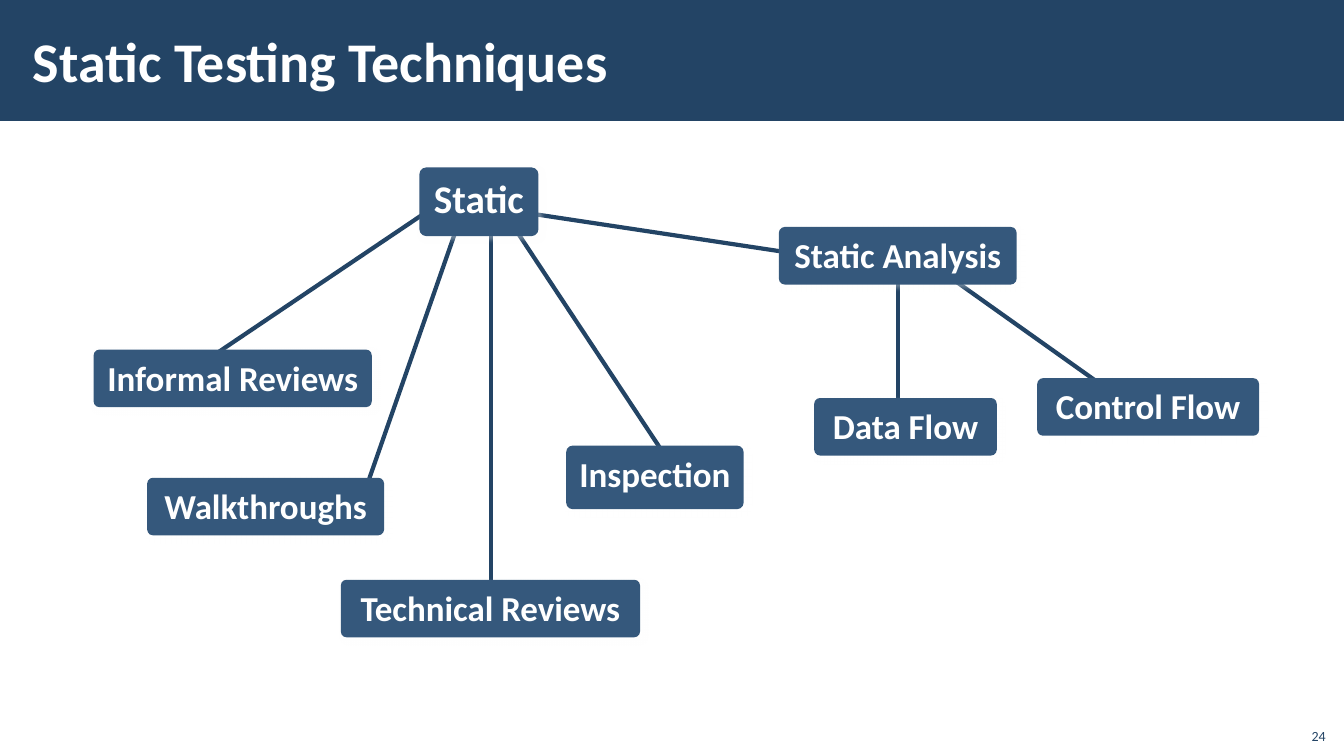
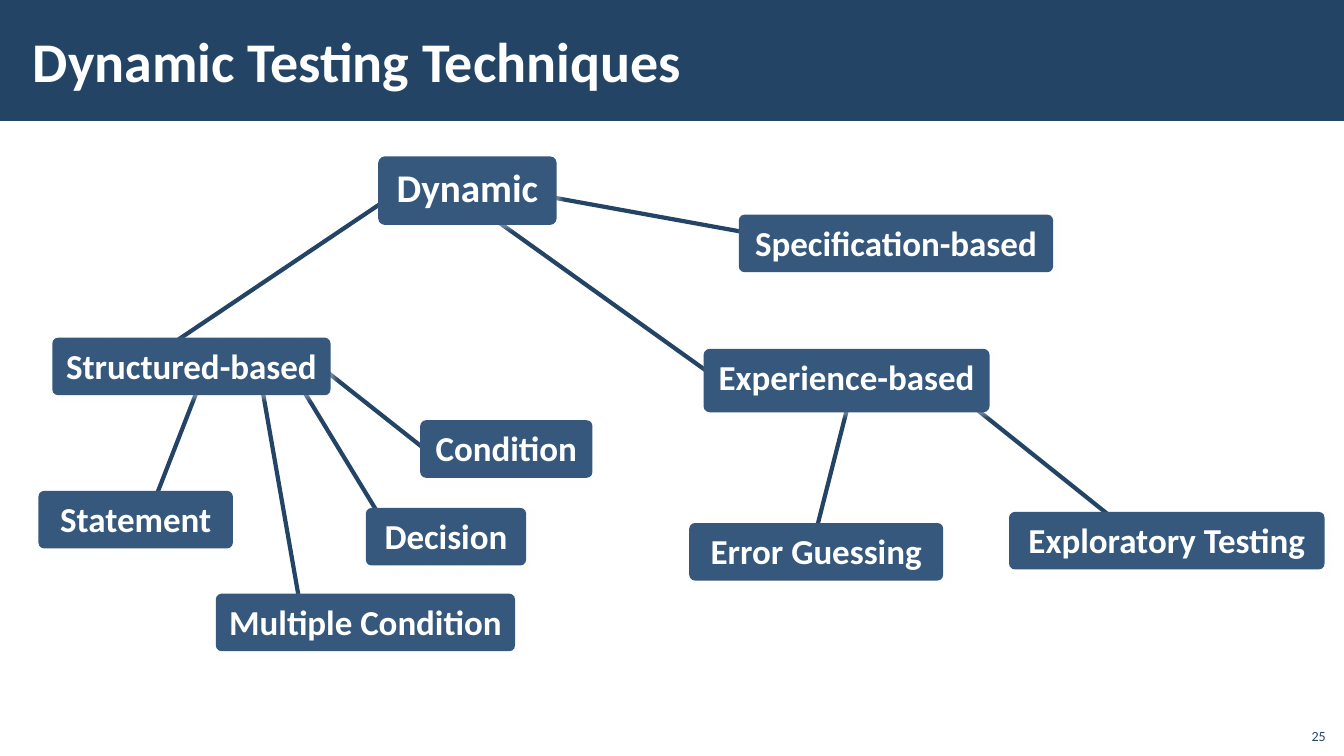
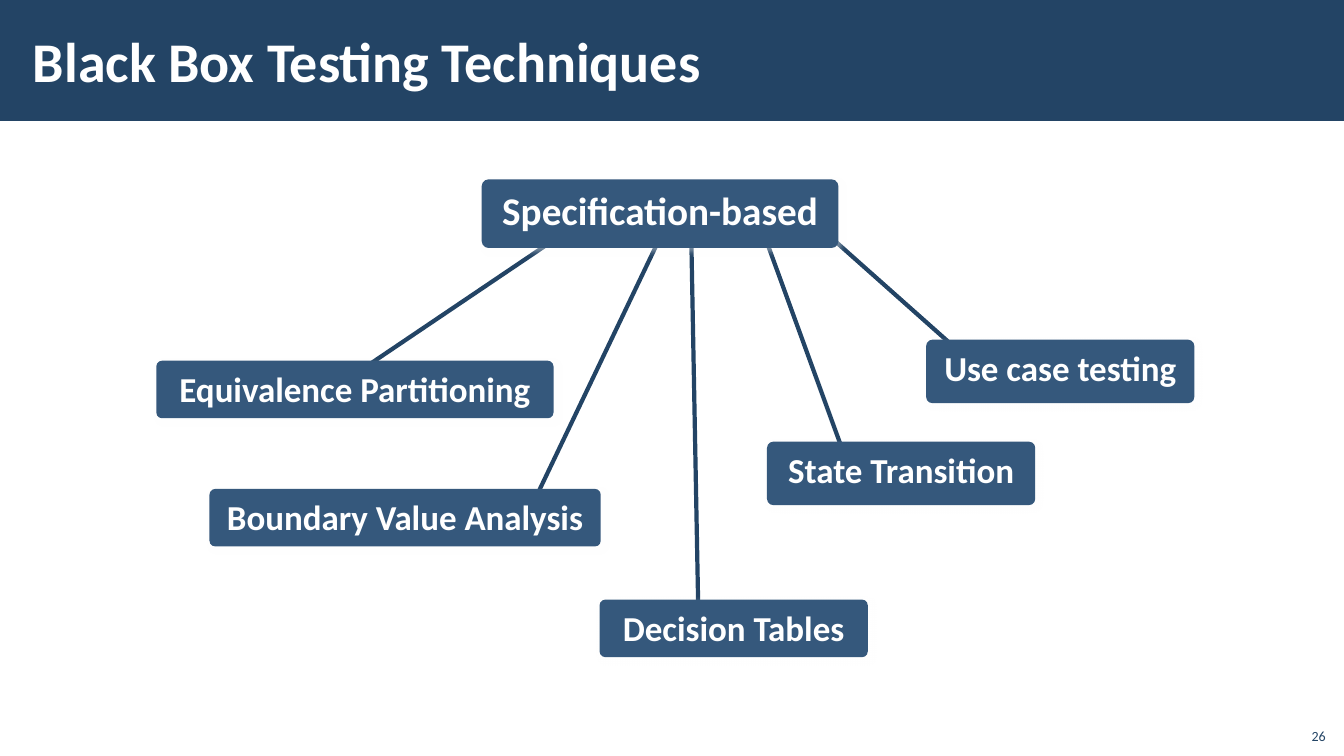
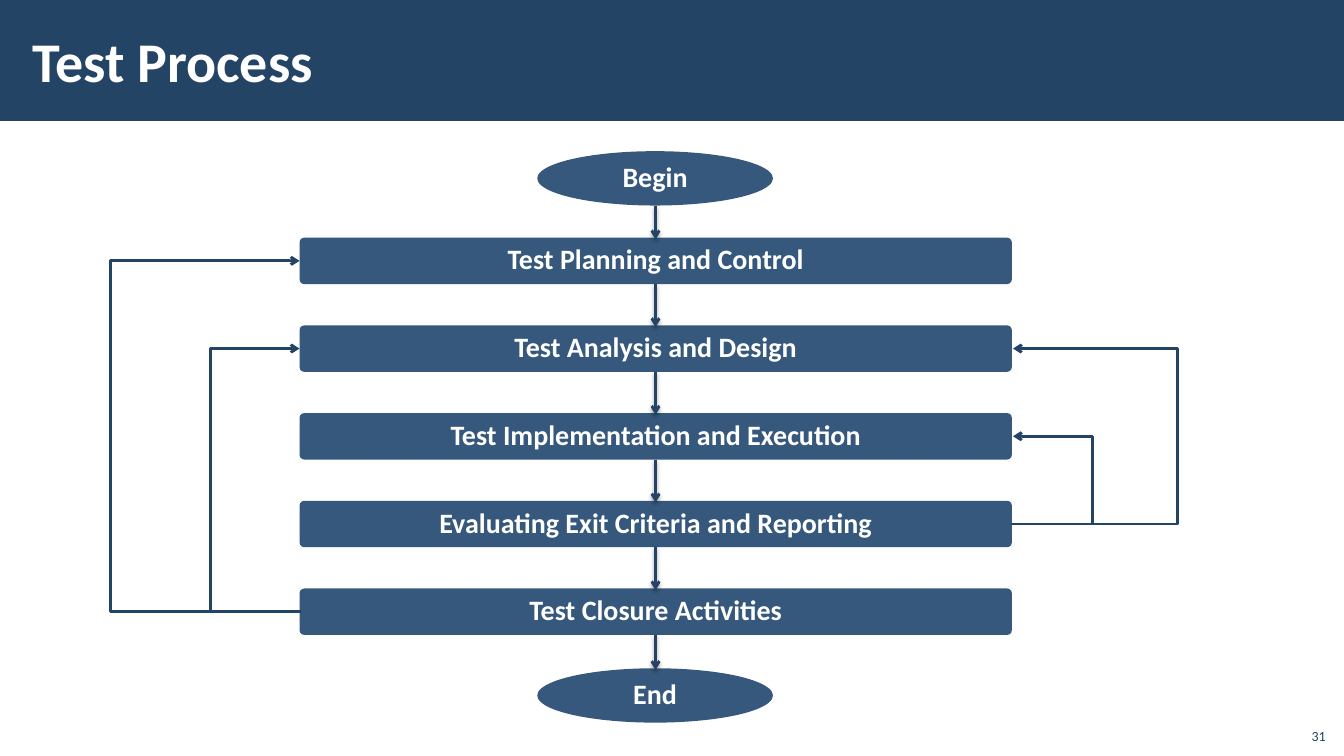
from dataclasses import dataclass
from itertools import pairwise
from typing import NamedTuple, Optional

from lxml.etree import SubElement
from pptx import Presentation
from pptx.dml.color import RGBColor
from pptx.enum.shapes import MSO_CONNECTOR as Connector, MSO_SHAPE as Shape
from pptx.enum.text import MSO_ANCHOR as Anchor, PP_ALIGN as Align
from pptx.oxml.ns import qn
from pptx.util import Cm, Pt


# Theme
class Shadow(NamedTuple):
    color: str
    alpha: int
    blur: float
    distance: float
    angle: int


@dataclass(frozen=True)
class Theme:
    font: str = "Calibri"
    navy: RGBColor = RGBColor(0x23, 0x44, 0x65)
    box: RGBColor = RGBColor(0x35, 0x58, 0x7C)
    white: RGBColor = RGBColor(0xFF, 0xFF, 0xFF)
    title_size: int = 40
    root_size: int = 28
    node_size: int = 25
    step_size: int = 20
    number_size: int = 10
    branch_width: int = 3
    flow_width: int = 2
    corner: float = 0.1
    box_shadow: Shadow = Shadow("FFFFFF", 40, 4, 3, 45)
    arrow_shadow: Shadow = Shadow("000000", 38, 3.1, 1.6, 90)


THEME = Theme()
TITLE_ONLY = 5


# Content types; all lengths in centimetres
class Point(NamedTuple):
    x: float
    y: float


class Branch(NamedTuple):
    child: Point
    parent: Point


ROOT_HEIGHT, NODE_HEIGHT, TALL_HEIGHT = 1.73, 1.45, 1.6


@dataclass(frozen=True)
class Node:
    text: str
    left: float
    top: float
    width: float
    branch: Optional[Branch] = None
    height: float = NODE_HEIGHT


@dataclass(frozen=True)
class Tree:
    title: str
    number: int
    root: Node
    nodes: tuple[Node, ...]


class Step(NamedTuple):
    text: str
    kind: Shape
    left: float
    top: float
    width: float
    height: float

    @property
    def middle(self) -> float:
        return self.top + self.height / 2


class Loop(NamedTuple):
    source: int
    target: int
    start_x: float
    end_x: float
    bend_x: float


def branch(child_x: float, child_y: float, parent_x: float, parent_y: float) -> Branch:
    return Branch(Point(child_x, child_y), Point(parent_x, parent_y))


# Content
TREES = (
    Tree("Static Testing Techniques", 24,
         Node("Static", 10.57, 4.22, 3, height=ROOT_HEIGHT), (
             Node("Informal Reviews", 2.36, 8.81, 7.01, branch(5.36, 8.97, 11.18, 5.05)),
             Node("Static Analysis", 19.63, 5.72, 5.99, branch(21.77, 6.65, 12.37, 5.23)),
             Node("Data Flow", 20.52, 10.03, 4.6, branch(22.63, 10.44, 22.63, 6.76)),
             Node("Walkthroughs", 3.71, 12.04, 5.97, branch(9.17, 12.45, 11.61, 5.46)),
             Node("Technical Reviews", 8.59, 14.61, 7.54, branch(12.37, 15.04, 12.37, 5.46)),
             Node("Inspection", 14.27, 11.23, 4.47, branch(16.76, 11.48, 12.95, 5.72), TALL_HEIGHT),
             Node("Control Flow", 26.14, 9.53, 5.59, branch(28.52, 10.24, 23.44, 6.63)),
         )),
    Tree("Dynamic Testing Techniques", 25,
         Node("Dynamic", 9.53, 3.94, 4.5, height=ROOT_HEIGHT), (
             Node("Structured-based", 1.32, 8.51, 7.01, branch(4.34, 8.66, 10.16, 4.75)),
             Node("Specification-based", 18.62, 5.41, 7.92, branch(20.52, 6.17, 12.52, 4.72)),
             Node("Statement", 0.97, 12.37, 4.9, branch(3.76, 12.95, 5.16, 9.35)),
             Node("Error Guessing", 17.37, 13.18, 6.4, branch(20.35, 14.22, 21.41, 10.06)),
             Node("Experience-based", 17.73, 8.79, 7.21, branch(18.62, 9.93, 12.12, 5.28), TALL_HEIGHT),
             Node("Decision", 9.22, 12.8, 4.04, branch(9.88, 13.51, 7.39, 9.42)),
             Node("Condition", 10.59, 10.59, 4.34, branch(10.95, 11.51, 7.82, 9.04)),
             Node("Multiple Condition", 5.44, 14.96, 7.54, branch(7.62, 15.57, 6.58, 9.63)),
             Node("Exploratory Testing", 25.43, 12.9, 7.95, branch(28.96, 13.79, 23.88, 9.73)),
         )),
    Tree("Black Box Testing Techniques", 26,
         Node("Specification-based", 12.14, 4.52, 8.99, height=ROOT_HEIGHT), (
             Node("Equivalence Partitioning", 3.94, 9.09, 10.01, branch(8.69, 9.6, 14.53, 5.66)),
             Node("Boundary Value Analysis", 5.28, 12.32, 9.86, branch(13.41, 12.73, 16.69, 5.87)),
             Node("Decision Tables", 15.11, 15.11, 6.76, branch(17.6, 15.54, 17.42, 5.94)),
             Node("State Transition", 19.33, 11.13, 6.76, branch(21.44, 11.91, 19.23, 5.84), TALL_HEIGHT),
             Node("Use case testing", 23.34, 8.56, 6.76, branch(24.84, 9.45, 20.52, 5.61), TALL_HEIGHT),
         )),
)

ACTIVITIES = (
    "Test Planning and Control",
    "Test Analysis and Design",
    "Test Implementation and Execution",
    "Evaluating Exit Criteria and Reporting",
    "Test Closure Activities",
)
ACTIVITY_TOP, ACTIVITY_PITCH = 5.99, 2.21
FLOW_X = 16.52

# Source and target count through ACTIVITIES
LOOPS = (
    Loop(4, 0, 7.6, 7.55, 2.79),
    Loop(4, 1, 7.6, 7.55, 5.3),
    Loop(3, 1, 25.48, 25.53, 29.67),
    Loop(3, 2, 25.48, 25.53, 27.54),
)


# Shared drawing
def add_shadow(shape, shadow: Shadow) -> None:
    properties = shape.element.spPr
    effects = properties.find(qn("a:effectLst"))
    if effects is None:
        effects = SubElement(properties, qn("a:effectLst"))
    outer = SubElement(effects, qn("a:outerShdw"), blurRad=str(Pt(shadow.blur)),
                       dist=str(Pt(shadow.distance)), dir=str(shadow.angle * 60000),
                       algn="ctr", rotWithShape="0")
    color = SubElement(outer, qn("a:srgbClr"), val=shadow.color)
    SubElement(color, qn("a:alpha"), val=str(shadow.alpha * 1000))


def write(frame, text: str, size: int, color: RGBColor, align: Align,
          anchor: Anchor, bold: bool = True) -> None:
    frame.text = text
    frame.vertical_anchor = anchor
    paragraph = frame.paragraphs[0]
    paragraph.alignment = align
    font = paragraph.runs[0].font
    font.name, font.size, font.bold = THEME.font, Pt(size), bold
    font.color.rgb = color


def add_filled(slide, kind: Shape, left: float, top: float, width: float, height: float,
               color: RGBColor):
    shape = slide.shapes.add_shape(kind, Cm(left), Cm(top), Cm(width), Cm(height))
    shape.fill.solid()
    shape.fill.fore_color.rgb = color
    shape.line.fill.background()
    shape.shadow.inherit = False
    return shape


def add_box(slide, kind: Shape, left: float, top: float, width: float, height: float):
    box = add_filled(slide, kind, left, top, width, height, THEME.box)
    if kind == Shape.ROUNDED_RECTANGLE:
        box.adjustments[0] = THEME.corner
    add_shadow(box, THEME.box_shadow)
    return box


def add_line(slide, start: Point, end: Point, width: int,
             kind: Connector = Connector.STRAIGHT, arrow: bool = False):
    line = slide.shapes.add_connector(kind, Cm(start.x), Cm(start.y), Cm(end.x), Cm(end.y))
    line.line.color.rgb = THEME.navy
    line.line.width = Pt(width)
    properties = line.element.spPr
    if arrow:
        SubElement(properties.find(qn("a:ln")), qn("a:tailEnd"), type="arrow")
    SubElement(properties, qn("a:effectLst"))
    return line


def move_band_to_layout(slide, layout) -> None:
    """Make the title band on a slide and hand it to the layout, behind its placeholders."""
    band = add_filled(slide, Shape.RECTANGLE, 0, 0, 33.87, 3.05, THEME.navy)
    layout.shapes.element.insert(2, band.element)


def add_titled_slide(deck, layout, title: str, number: int):
    slide = deck.slides.add_slide(layout)
    heading = slide.shapes.title
    heading.left, heading.top = Cm(0.53), Cm(0.28)
    heading.width, heading.height = Cm(27), Cm(2.46)
    frame = heading.text_frame
    frame.margin_left = frame.margin_right = Cm(0.3)
    frame.margin_top = frame.margin_bottom = Cm(0.1)
    write(frame, title, THEME.title_size, THEME.white, Align.LEFT, Anchor.MIDDLE)

    page = slide.shapes.add_textbox(Cm(32.64), Cm(18.08), Cm(1.02), Cm(0.81)).text_frame
    page.word_wrap = True
    write(page, str(number), THEME.number_size, THEME.navy, Align.RIGHT, Anchor.BOTTOM, bold=False)
    return slide


# Technique trees
def add_node(slide, node: Node, size: int) -> None:
    box = add_box(slide, Shape.ROUNDED_RECTANGLE, node.left, node.top, node.width, node.height)
    box.text_frame.word_wrap = False
    write(box.text_frame, node.text, size, THEME.white, Align.CENTER, Anchor.TOP)


def add_tree(deck, layout, tree: Tree) -> None:
    slide = add_titled_slide(deck, layout, tree.title, tree.number)
    for node in tree.nodes:
        if node.branch:
            add_line(slide, node.branch.child, node.branch.parent, THEME.branch_width)
    add_node(slide, tree.root, THEME.root_size)
    for node in tree.nodes:
        add_node(slide, node, THEME.node_size)


# Test process flow
def add_step(slide, step: Step) -> None:
    box = add_box(slide, step.kind, step.left, step.top, step.width, step.height)
    frame = box.text_frame
    frame.margin_left = frame.margin_right = Cm(0.2)
    frame.margin_top = frame.margin_bottom = Cm(0.2)
    write(frame, step.text, THEME.step_size, THEME.white, Align.CENTER, Anchor.MIDDLE)
    frame.paragraphs[0].line_spacing = 0.9


def add_loop(slide, loop: Loop, activities: list[Step]) -> None:
    start = Point(loop.start_x, activities[loop.source].middle)
    end = Point(loop.end_x, activities[loop.target].middle)
    elbow = add_line(slide, start, end, THEME.flow_width, Connector.ELBOW, arrow=True)
    bend = (loop.bend_x - loop.start_x) / (loop.end_x - loop.start_x)
    geometry = elbow.element.spPr.find(qn("a:prstGeom"))
    guides = geometry.find(qn("a:avLst"))
    if guides is None:
        guides = SubElement(geometry, qn("a:avLst"))
    SubElement(guides, qn("a:gd"), name="adj1", fmla=f"val {round(bend * 100000)}")


def add_process(deck, layout) -> None:
    slide = add_titled_slide(deck, layout, "Test Process", 31)
    activities = [
        Step(text, Shape.ROUNDED_RECTANGLE, 7.55, ACTIVITY_TOP + i * ACTIVITY_PITCH, 17.95, 1.17)
        for i, text in enumerate(ACTIVITIES)
    ]
    begin, end = (Step(text, Shape.OVAL, 13.54, top, 5.94, 1.37)
                  for text, top in (("Begin", 3.81), ("End", 16.84)))
    steps = [begin, *activities, end]
    for step in steps:
        add_step(slide, step)
    for upper, lower in pairwise(steps):
        arrow = add_line(slide, Point(FLOW_X, upper.top + upper.height),
                         Point(FLOW_X, lower.top + 0.04), THEME.flow_width, arrow=True)
        add_shadow(arrow, THEME.arrow_shadow)
    for loop in LOOPS:
        add_loop(slide, loop, activities)


def main() -> None:
    deck = Presentation()
    deck.slide_width, deck.slide_height = Cm(33.87), Cm(19.05)
    layout = deck.slide_layouts[TITLE_ONLY]
    for tree in TREES:
        add_tree(deck, layout, tree)
    add_process(deck, layout)
    move_band_to_layout(deck.slides[0], layout)
    deck.save("out.pptx")


if __name__ == "__main__":
    main()
